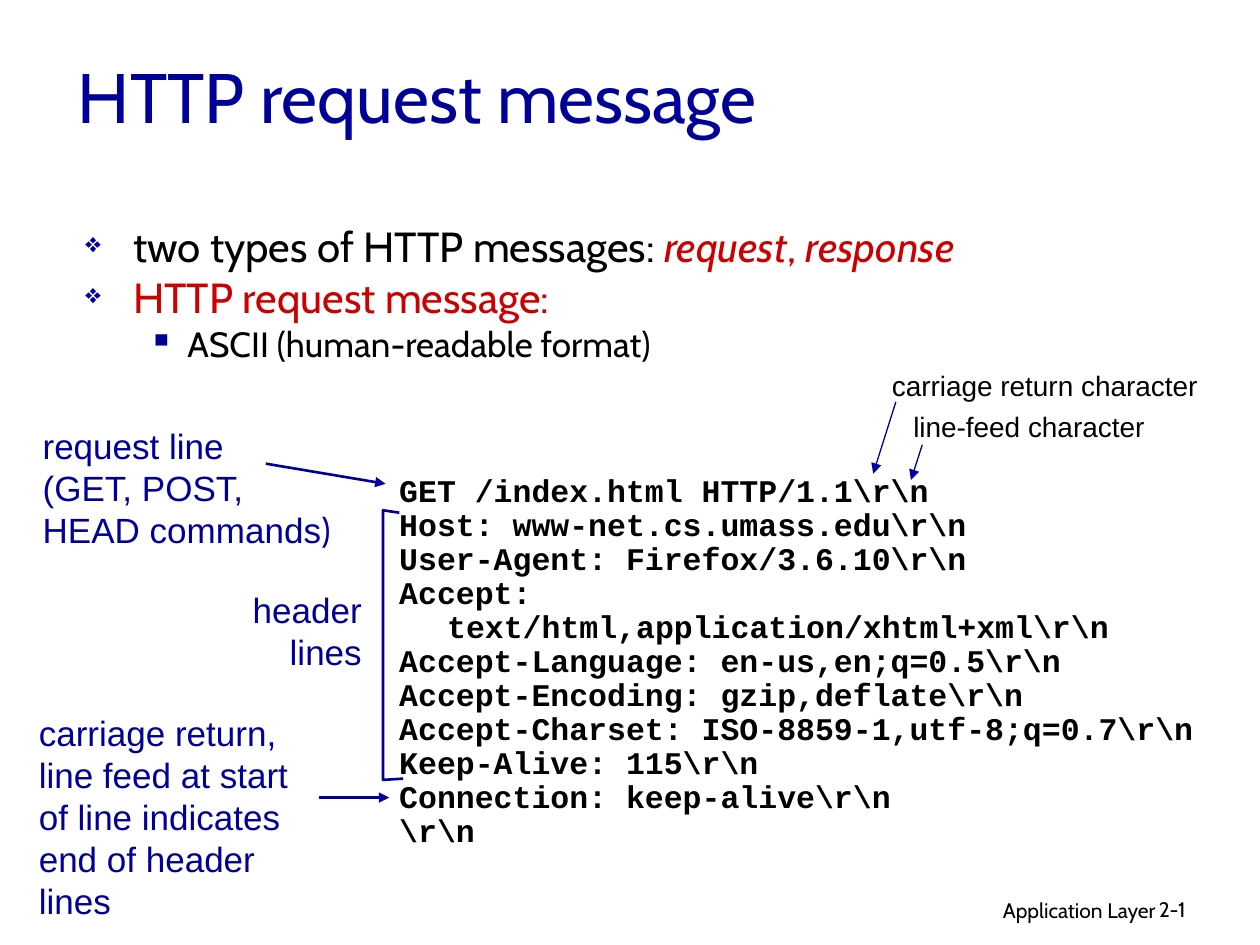
from lxml.etree import SubElement
from pptx import Presentation
from pptx.dml.color import RGBColor
from pptx.enum.shapes import MSO_CONNECTOR
from pptx.enum.text import MSO_ANCHOR, PP_ALIGN
from pptx.oxml.ns import qn
from pptx.util import Inches, Pt

BLUE, RED, BLACK = "000099", "CC0000", "000000"
TITLE = {"name": "Cabin", "size": Pt(40), "color": BLUE}
POINT = {"name": "Cabin", "size": Pt(24), "color": BLACK}
RED_POINT = {**POINT, "color": RED}
SUBPOINT = {**POINT, "size": Pt(20)}
FOOTER = {**POINT, "size": Pt(12)}
NOTE = {"name": "Arial", "size": Pt(20), "color": BLUE}
LABEL = {"name": "Arial", "size": Pt(16), "color": BLACK}
CODE = {"name": "Courier New", "size": Pt(18), "color": BLACK, "bold": True}

REQUEST = r"""GET /index.html HTTP/1.1\r\n
Host: www-net.cs.umass.edu\r\n
User-Agent: Firefox/3.6.10\r\n
Accept: text/html,application/xhtml+xml\r\n
Accept-Language: en-us,en;q=0.5\r\n
Accept-Encoding: gzip,deflate\r\n
Accept-Charset: ISO-8859-1,utf-8;q=0.7\r\n
Keep-Alive: 115\r\n
Connection: keep-alive\r\n
\r\n"""


def rgb(value):
    return RGBColor.from_string(value)


def set_values(target, values):
    for name, value in values.items():
        setattr(target, name, value)


def add_box(page, left, top, width, height, anchor=MSO_ANCHOR.TOP):
    box = page.shapes.add_textbox(*map(Inches, (left, top, width, height)))
    set_values(box.text_frame, {"word_wrap": True, "vertical_anchor": anchor})
    return box.text_frame


def add_span(para, text, style):
    span = para.add_run()
    span.text = text
    set_values(span.font, {key: value for key, value in style.items() if key != "color"})
    span.font.color.rgb = rgb(style["color"])


def set_indent(para, left, hang):
    properties = para._p.get_or_add_pPr()
    properties.set("marL", str(Inches(left)))
    properties.set("indent", str(-Inches(hang)))
    return properties


def add_bullet(para, left, hang, character, percent):
    properties = set_indent(para, left, hang)
    color = SubElement(properties, qn("a:buClr"))
    SubElement(color, qn("a:srgbClr"), val=BLUE)
    SubElement(properties, qn("a:buSzPct"), val=str(percent * 1000))
    SubElement(properties, qn("a:buChar"), char=character)


def add_lines(page, place, lines, style, layout=None, hang=0, **options):
    """Add a text box with one paragraph for each line, all in one style."""
    frame = add_box(page, *place, **options)
    for index, line in enumerate(lines):
        para = frame.add_paragraph() if index else frame.paragraphs[0]
        set_values(para, layout or {})
        if hang:
            set_indent(para, hang, hang)
        add_span(para, line, style)
    return frame


def add_points(page):
    frame = add_box(page, 0.58, 1.76, 8.5, 5.08)
    diamond = (0.38, 0.38, "❖", 65)
    square = (0.81, 0.31, "▪", 100)
    emphasis = {**RED_POINT, "italic": True}
    points = [
        (0, 0, diamond, [("two types of HTTP messages: ", POINT), ("request", emphasis),
                         (", ", RED_POINT), ("response", emphasis)]),
        (0, 4.8, diamond, [("HTTP request message:", RED_POINT)]),
        (1, 4, square, [("ASCII (human-readable format)", SUBPOINT)]),
    ]
    for index, (level, gap, bullet, spans) in enumerate(points):
        para = frame.add_paragraph() if index else frame.paragraphs[0]
        set_values(para, {"level": level, "line_spacing": 0.85, "space_before": Pt(gap)})
        add_bullet(para, *bullet)
        for text, style in spans:
            add_span(para, text, style)


def add_arrow(page, start, end, weight):
    arrow = page.shapes.add_connector(MSO_CONNECTOR.STRAIGHT, *map(Inches, start + end))
    arrow.line.color.rgb = rgb(BLUE)
    arrow.line.width = Pt(weight)
    SubElement(arrow.line._get_or_add_ln(), qn("a:tailEnd"), type="triangle")
    SubElement(arrow._element.spPr, qn("a:effectLst"))


def add_bracket(page, points):
    corners = [tuple(map(Inches, point)) for point in points]
    builder = page.shapes.build_freeform(*corners[0])
    builder.add_line_segments(corners[1:], close=False)
    bracket = builder.convert_to_shape()
    bracket.shadow.inherit = False
    bracket.fill.background()
    bracket.line.color.rgb = rgb(BLUE)
    bracket.line.width = Pt(1.5)


def main():
    deck = Presentation()
    deck.slide_width, deck.slide_height = Inches(10), Inches(7.5)
    page = deck.slides.add_slide(deck.slide_layouts[6])
    right = {"alignment": PP_ALIGN.RIGHT}

    add_lines(page, (6.1, 7.07, 3.17, 0.31), ["Application Layer"], FOOTER, right)
    add_lines(page, (9.1, 7.07, 0.74, 0.3), ["2-1"], FOOTER)
    add_lines(page, (0.52, 0.26, 8.5, 1), ["HTTP request message"], TITLE,
              anchor=MSO_ANCHOR.MIDDLE)
    add_points(page)

    commands = add_lines(page, (0.24, 3.32, 2.6, 1.1),
                         ["request line", "(GET, POST,", "HEAD commands"], NOTE)
    add_span(commands.paragraphs[-1], ")", {**NOTE, "name": "Cabin"})
    add_lines(page, (1.9, 4.62, 1.07, 0.77), ["header", "lines"], NOTE, right)
    add_lines(page, (0.21, 5.6, 2.5, 1.43),
              ["carriage return,", "line feed at start", "of line indicates",
               "end of header lines"], NOTE)
    add_lines(page, (3.07, 3.72, 6.62, 2.81), REQUEST.splitlines(), CODE,
              {"line_spacing": 0.9}, hang=0.38)
    add_lines(page, (6.98, 2.88, 2.7, 0.37), ["carriage return character"], LABEL)
    add_lines(page, (7.15, 3.2, 2.1, 0.37), ["line-feed character"], LABEL)

    add_bracket(page, [(3.17, 4.07), (3.04, 4.05), (3.04, 6.19), (3.2, 6.18)])
    for start, end, weight in [
        ((2.11, 3.68), (3.06, 3.84), 1.5),
        ((2.53, 6.33), (3.09, 6.33), 1.5),
        ((7.11, 3.19), (6.93, 3.76), 0.75),
        ((7.32, 3.53), (7.23, 3.81), 0.75),
    ]:
        add_arrow(page, start, end, weight)
    deck.save("out.pptx")


if __name__ == "__main__":
    main()
